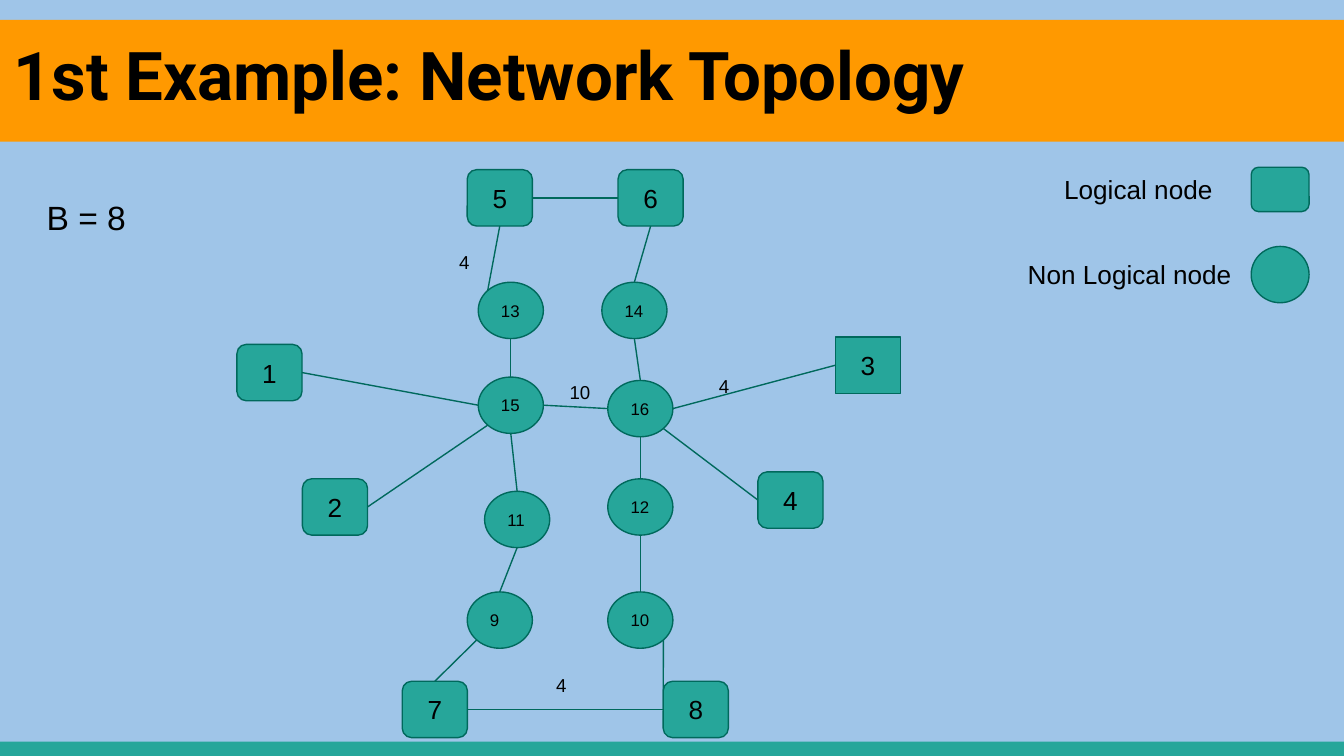
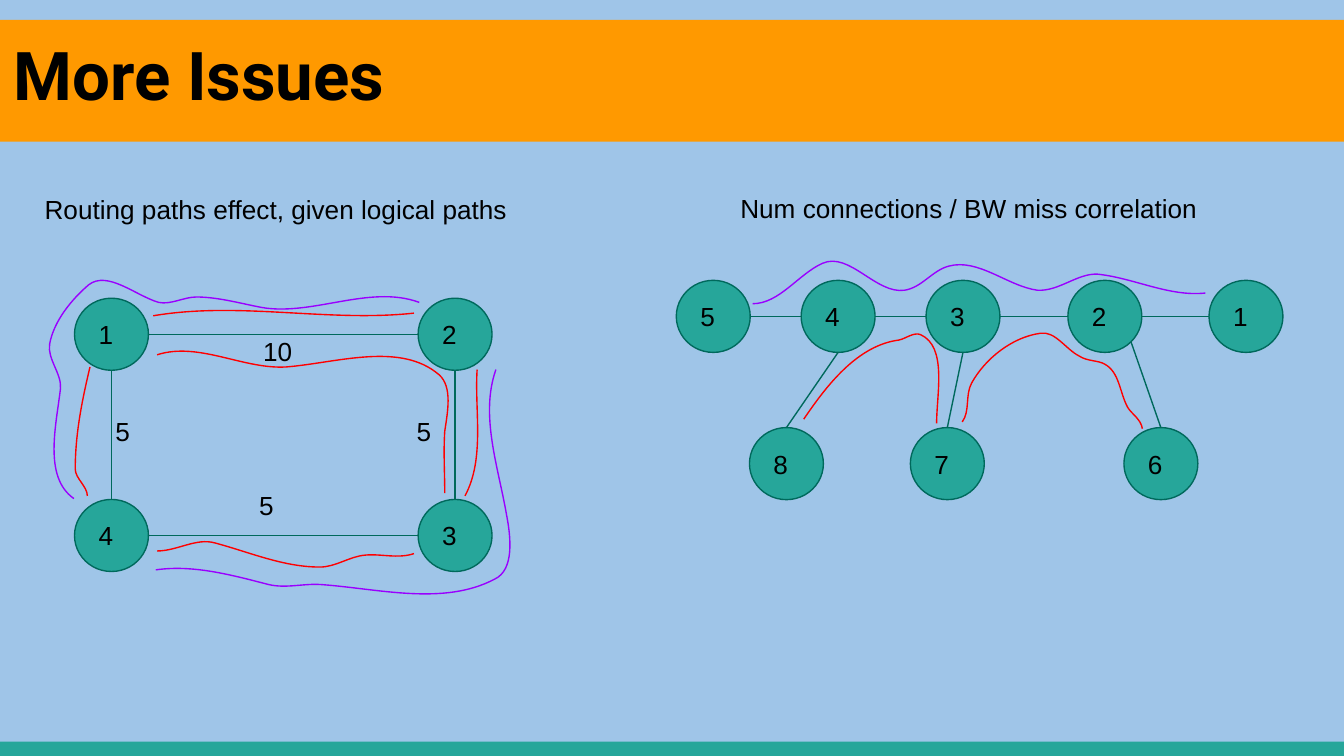
"""Build two slides of network topology diagrams."""
from lxml.etree import SubElement
from pptx import Presentation
from pptx.dml.color import RGBColor
from pptx.enum.shapes import MSO_CONNECTOR, MSO_SHAPE
from pptx.enum.text import MSO_ANCHOR, MSO_AUTO_SIZE, PP_ALIGN
from pptx.oxml.ns import qn
from pptx.util import Pt

SKY = RGBColor(0x9F, 0xC5, 0xE8)
ORANGE = RGBColor(0xFF, 0x99, 0x00)
TEAL = RGBColor(0x26, 0xA6, 0x9A)
DARK_TEAL = RGBColor(0x00, 0x69, 0x5C)
BLACK = RGBColor(0x00, 0x00, 0x00)
RED = RGBColor(0xFF, 0x00, 0x00)
PURPLE = RGBColor(0x99, 0x00, 0xFF)

SLIDE_WIDTH, SLIDE_HEIGHT = 720, 405
INSET = 7.2
LINE_WIDTH = 0.75
CURVE_STEPS = 16
SITES = {
    "top": (0.5, 0), "bottom": (0.5, 1), "left": (0, 0.5), "right": (1, 0.5),
    "top left": (0.146, 0.146), "bottom left": (0.146, 0.854),
    "bottom right": (0.854, 0.854),
}


def sample_curves(points):
    """Return points along a chain of cubic curves."""
    samples = []
    for first in range(0, len(points) - 1, 3):
        controls = points[first:first + 4]
        for step in range(1, CURVE_STEPS + 1):
            t = step / CURVE_STEPS
            weights = ((1 - t) ** 3, 3 * t * (1 - t) ** 2, 3 * t ** 2 * (1 - t), t ** 3)
            samples.append(tuple(
                Pt(sum(weight * point[axis] for weight, point in zip(weights, controls)))
                for axis in (0, 1)))
    return samples


class Deck:
    """Holds the shared style and the slide being drawn."""

    def __init__(self):
        self.presentation = Presentation()
        self.presentation.slide_width = Pt(SLIDE_WIDTH)
        self.presentation.slide_height = Pt(SLIDE_HEIGHT)
        self.master = self.presentation.slide_master
        self.master.background.fill.solid()
        self.master.background.fill.fore_color.rgb = SKY
        self.slide = None

    def add_slide(self, title):
        first = self.slide is None
        self.slide = self.presentation.slides.add_slide(self.presentation.slide_layouts[5])
        if first:
            self.add_footer_band()
        shape = self.slide.shapes.title
        shape.left, shape.top, shape.width, shape.height = Pt(0), Pt(10.6), Pt(SLIDE_WIDTH), Pt(65.3)
        shape.fill.solid()
        shape.fill.fore_color.rgb = ORANGE
        self.set_text(shape, title, 36, font="Roboto", bold=True)

    def add_footer_band(self):
        band = self.add_shape(MSO_SHAPE.RECTANGLE, 0, 397.4, SLIDE_WIDTH, 7.6)
        band.line.fill.background()
        self.master.shapes.element.append(band.element)

    def set_text(self, shape, text, size, align=PP_ALIGN.LEFT, anchor=MSO_ANCHOR.TOP,
                 font="Arial", bold=False, spacing=1.0):
        frame = shape.text_frame
        frame.word_wrap = True
        frame.auto_size = MSO_AUTO_SIZE.NONE
        frame.vertical_anchor = anchor
        frame.margin_left = frame.margin_right = Pt(INSET)
        frame.margin_top = frame.margin_bottom = Pt(INSET)
        frame.text = text
        paragraph = frame.paragraphs[0]
        paragraph.alignment = align
        paragraph.line_spacing = spacing
        paragraph.font.name = font
        paragraph.font.size = Pt(size)
        paragraph.font.bold = bold
        paragraph.font.color.rgb = BLACK

    def add_shape(self, kind, left, top, width, height):
        shape = self.slide.shapes.add_shape(kind, Pt(left), Pt(top), Pt(width), Pt(height))
        shape.shadow.inherit = False
        shape.fill.solid()
        shape.fill.fore_color.rgb = TEAL
        shape.line.color.rgb = DARK_TEAL
        shape.line.width = Pt(LINE_WIDTH)
        return shape

    def add_nodes(self, kind, places, width, height, size, align=PP_ALIGN.LEFT):
        nodes = {}
        for number, (left, top) in places.items():
            nodes[number] = self.add_shape(kind, left, top, width, height)
            self.set_text(nodes[number], str(number), size, align, MSO_ANCHOR.MIDDLE)
        return nodes

    def add_links(self, nodes, links):
        for start, start_site, end, end_site in links:
            ends = []
            for number, site in ((start, start_site), (end, end_site)):
                node, (across, down) = nodes[number], SITES[site]
                ends += [int(node.left + across * node.width), int(node.top + down * node.height)]
            link = self.slide.shapes.add_connector(MSO_CONNECTOR.STRAIGHT, *ends)
            link.line.color.rgb = DARK_TEAL
            link.line.width = Pt(LINE_WIDTH)
            SubElement(link.element.find(qn("p:spPr")), qn("a:effectLst"))

    def add_label(self, text, left, top, width, height, size, **style):
        label = self.slide.shapes.add_textbox(Pt(left), Pt(top), Pt(width), Pt(height))
        self.set_text(label, text, size, **style)

    def add_curve(self, color, points):
        """Draw a chain of cubic curves: a start, then three points for each curve."""
        builder = self.slide.shapes.build_freeform(Pt(points[0][0]), Pt(points[0][1]))
        builder.add_line_segments(sample_curves(points), close=False)
        curve = builder.convert_to_shape()
        outline = next(curve.element.iter(qn("a:path")))
        for segment in outline.findall(qn("a:lnTo")):
            outline.remove(segment)
        for first in range(1, len(points), 3):
            segment = SubElement(outline, qn("a:cubicBezTo"))
            for x, y in points[first:first + 3]:
                SubElement(segment, qn("a:pt"), x=str(Pt(x) - curve.left), y=str(Pt(y) - curve.top))
        curve.shadow.inherit = False
        curve.fill.background()
        curve.line.color.rgb = color
        curve.line.width = Pt(LINE_WIDTH)


def build_topology(deck):
    deck.add_slide("1st Example: Network Topology")
    logical = {
        5: (250.3, 90.9), 7: (215.5, 365), 6: (331.1, 90.9), 4: (406, 252.8),
        2: (162, 256.5), 1: (126.9, 184.5), 3: (447.5, 180.6), 8: (355.3, 365),
    }
    non_logical = {
        14: (322.4, 151.2), 16: (325.6, 203.8), 11: (259.6, 263.2), 12: (325.6, 256.5),
        9: (250.3, 317.1), 10: (325.6, 317.1), 15: (256.2, 202), 13: (256.2, 151.2),
    }
    nodes = deck.add_nodes(MSO_SHAPE.ROUNDED_RECTANGLE, logical, 34.9, 30.2, 14, PP_ALIGN.CENTER)
    nodes[3].adjustments[0] = 0
    nodes.update(deck.add_nodes(MSO_SHAPE.OVAL, non_logical, 34.9, 30.2, 9))
    deck.add_links(nodes, [
        (6, "bottom", 14, "top"), (5, "bottom", 13, "top left"),
        (3, "left", 16, "right"), (1, "right", 15, "left"),
        (14, "bottom", 16, "top"), (13, "bottom", 15, "top"),
        (4, "left", 16, "bottom right"), (15, "bottom left", 2, "right"),
        (16, "bottom", 12, "top"), (15, "bottom", 11, "top"),
        (12, "bottom", 10, "top"), (11, "bottom", 9, "top"),
        (10, "bottom right", 8, "left"), (9, "bottom left", 7, "top"),
        (8, "left", 7, "right"), (15, "right", 16, "left"), (5, "right", 6, "left"),
    ])
    deck.add_label("10", 298.1, 197, 34.9, 22.3, 10)
    deck.add_label("4", 238.9, 127.4, 34.9, 17.3, 10)
    deck.add_label("4", 290.9, 353.9, 34.9, 22.3, 10)
    deck.add_label("4", 378, 191.2, 34.9, 22.3, 10, spacing=1.2)
    deck.add_shape(MSO_SHAPE.ROUNDED_RECTANGLE, 670.3, 89.6, 31, 23.8)
    deck.add_label("Logical node", 563, 85.4, 118.1, 32.4, 14)
    deck.add_shape(MSO_SHAPE.OVAL, 670.3, 132, 31, 30.2)
    deck.add_label("Non Logical node", 543.5, 127.4, 127.4, 38.9, 14, anchor=MSO_ANCHOR.MIDDLE)
    deck.add_label("B = 8", 17.9, 98.2, 59, 33.8, 18)


def build_issues(deck):
    deck.add_slide("More Issues")
    width, height = 39.6, 38.6
    square = {1: (39.9, 159.8), 4: (39.9, 267.6), 3: (224, 267.6), 2: (224, 159.8)}
    nodes = deck.add_nodes(MSO_SHAPE.OVAL, square, width, height, 14)
    deck.add_links(nodes, [
        (1, "right", 2, "left"), (1, "bottom", 4, "top"),
        (2, "bottom", 3, "top"), (3, "left", 4, "right"),
    ])
    for text, left, top in (("10", 133.9, 172.5), ("5", 131.8, 254.9),
                            ("5", 54.7, 215.3), ("5", 216.2, 215.3)):
        deck.add_label(text, left, top, 36, 32.4, 14)
    deck.add_curve(RED, [(82.1, 169.2), (128.2, 161.3), (175.7, 172.8), (221.8, 167.8)])
    deck.add_curve(RED, [(255.6, 198), (254.2, 220.3), (259.9, 245.5), (249.1, 265.7)])
    deck.add_curve(RED, [
        (48.2, 196.6), (43.9, 214.6), (40.3, 232.6), (40.3, 251.3),
        (40.3, 256.3), (46.8, 260.6), (46.8, 265.7)])
    deck.add_curve(RED, [
        (84.2, 295.2), (95, 295.2), (105.1, 288), (115.2, 290.9),
        (133.9, 295.9), (151.9, 303.8), (171.4, 303.8),
        (180, 303.8), (187.2, 298.1), (195.8, 297.4),
        (204.5, 296.6), (213.1, 299.5), (221.8, 296.6)])
    deck.add_curve(RED, [
        (84.2, 190.1), (106.6, 182.9), (130.3, 198), (153.4, 196.6),
        (180.7, 194.4), (214.6, 182.9), (235.4, 200.9),
        (242.6, 207.4), (239.8, 221), (238.3, 231.1),
        (237.6, 241.9), (238.3, 253.4), (238.3, 264.2)])
    deck.add_curve(PURPLE, [
        (265.7, 198), (257, 222.5), (267.1, 250.6), (271.4, 275.8),
        (273.6, 287.3), (275.8, 305.3), (265, 310.3),
        (237.6, 324.7), (203, 315.4), (172.1, 313.2),
        (162.7, 312.5), (153.4, 315.4), (144, 313.2),
        (124.6, 308.2), (103.7, 302.4), (83.5, 305.3)])
    deck.add_curve(PURPLE, [
        (224.6, 162), (197.3, 151.9), (165.6, 170.6), (137.5, 164.2),
        (126.7, 162), (115.9, 159.1), (105.1, 159.1),
        (98.6, 159.1), (91.4, 163.4), (85, 162),
        (72.7, 158.4), (57.6, 144.7), (47.5, 152.6),
        (38.2, 160.6), (28.8, 172.1), (26.6, 184.3),
        (25.2, 192.2), (33.1, 200.2), (32.4, 208.1),
        (30.2, 227.5), (23, 255.6), (39.6, 267.1)])

    row, below = 150.2, 229.1
    tree = {
        4: (429.2, row), 3: (496.1, row), 2: (572.1, row), 1: (647.7, row),
        8: (401.5, below), 5: (362.3, row), 6: (602.1, below), 7: (487.7, below),
    }
    nodes = deck.add_nodes(MSO_SHAPE.OVAL, tree, width, height, 14)
    deck.add_links(nodes, [(number, "left", number + 1, "right") for number in range(1, 5)])
    deck.add_links(nodes, [
        (6, "top", 2, "bottom right"), (3, "bottom", 7, "top"), (4, "bottom", 8, "top"),
    ])
    deck.add_curve(RED, [
        (612, 229.7), (611.3, 224.6), (606.2, 221.8), (604.1, 218.2),
        (599.8, 210.2), (599.8, 199.4), (591.8, 195.1),
        (588.2, 193), (582.5, 193.7), (578.2, 190.8),
        (571, 187.2), (565.2, 177.1), (557.3, 178.6),
        (542.2, 180.7), (527.8, 192.2), (520.6, 205.2),
        (517, 211.7), (519.8, 220.3), (515.5, 226.1)])
    deck.add_curve(RED, [
        (501.8, 226.8), (501.8, 211), (507.6, 185.8), (493.2, 179.3),
        (489.6, 177.8), (485.3, 181.4), (481.7, 182.2),
        (459.4, 185), (442.8, 206.6), (430.6, 224.6)])
    deck.add_curve(PURPLE, [
        (645.8, 157), (626.4, 159.1), (607.7, 149), (588.2, 146.9),
        (577.4, 146.2), (567.4, 156.2), (555.8, 155.5),
        (540, 153.4), (524.2, 138.2), (508.3, 142.6),
        (499.7, 144.7), (493.9, 154.1), (484.6, 155.5),
        (469.4, 157.7), (455, 134.6), (440.6, 141.1),
        (427.7, 146.9), (417.6, 162.7), (403.2, 162.7)])
    deck.add_label("Num connections / BW miss correlation", 389.5, 95.8, 290.9, 33.8, 14)
    deck.add_label("Routing paths effect, given logical paths", 16.8, 96.5, 290.9, 33.8, 14)


def main():
    deck = Deck()
    build_topology(deck)
    build_issues(deck)
    deck.presentation.save("out.pptx")


if __name__ == "__main__":
    main()
